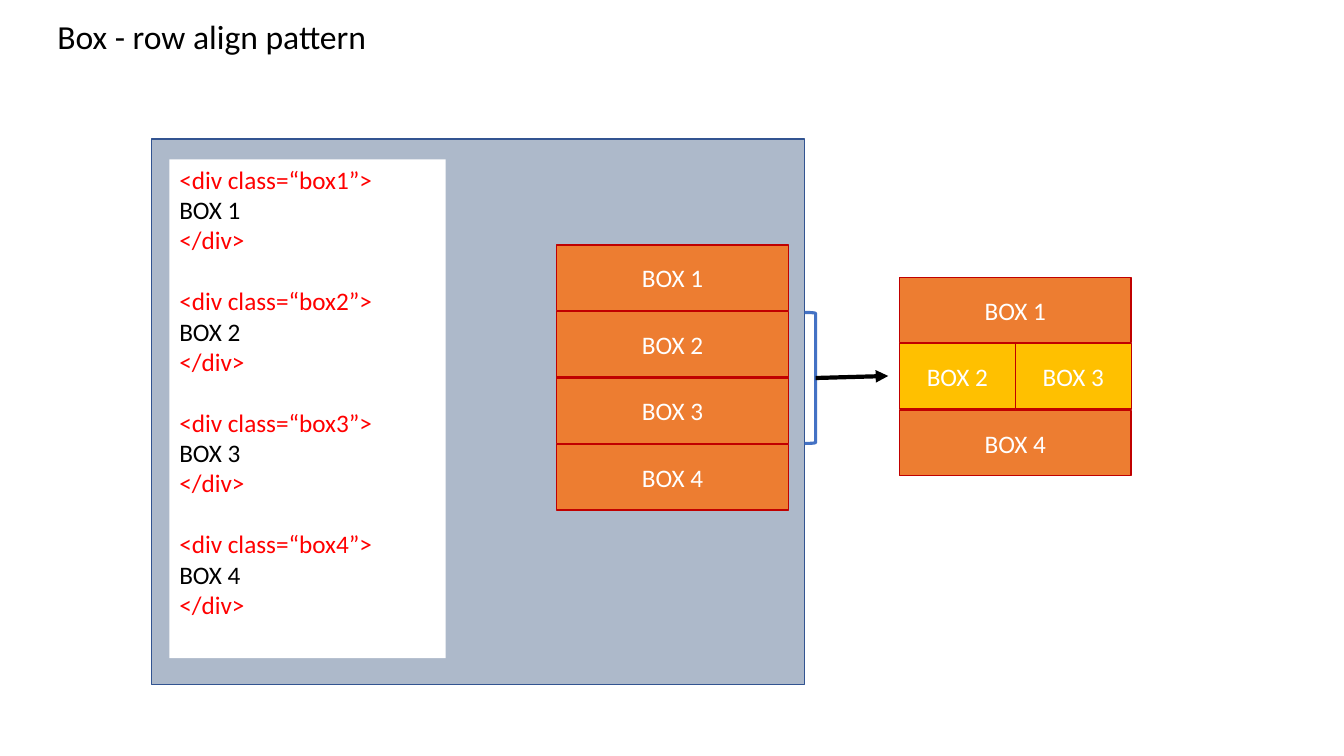
"""Build the slide that explains the box row align pattern."""
from lxml.etree import SubElement
from pptx import Presentation
from pptx.dml.color import RGBColor
from pptx.enum.shapes import MSO_CONNECTOR, MSO_SHAPE
from pptx.enum.text import MSO_ANCHOR, MSO_AUTO_SIZE, PP_ALIGN
from pptx.oxml.ns import qn
from pptx.util import Inches, Pt

TITLE = "Box - row align pattern"
BOXES = ["BOX 1", "BOX 2", "BOX 3", "BOX 4"]
CODE = [(f"<div class=“box{number}”>", name, "</div>")
        for number, name in enumerate(BOXES, 1)]
ALIGNED_ROWS = [BOXES[:1], BOXES[1:3], BOXES[3:]]

WIDTH, HEIGHT = 13.33, 7.5
PANEL = (1.5, 1.38, 6.48, 5.41)
CODE_AREA = (1.68, 1.58, 2.74, 4.95)
ROW_WIDTH, ROW_HEIGHT, ROW_STEP = 2.3, 0.65, 0.66
STACK_START, ALIGNED_START = (5.52, 2.43), (8.92, 2.75)
BRACKET = (7.98, 3.1, 0.11, 1.3)
ARROW = (8.09, 3.75, 8.81, 3.73)
ORANGE, YELLOW, DARK_RED = "ED7D31", "FFC000", "C00000"
RED, BLACK, WHITE = "FF0000", "000000", "FFFFFF"


def color(value):
    return RGBColor.from_string(value)


def apply(target, values):
    for name, value in values.items():
        setattr(target, name, value)


def add_text(para, text, ink, size=18):
    span = para.add_run()
    span.text = text
    apply(span.font, {"name": "Calibri", "size": Pt(size), "bold": False})
    span.font.color.rgb = color(ink)


def add_box(page, area, fill=None, line=None, weight=1, kind=MSO_SHAPE.RECTANGLE):
    box = page.shapes.add_shape(kind, *map(Inches, area))
    box.shadow.inherit = False
    if fill:
        box.fill.solid()
        box.fill.fore_color.rgb = color(fill)
    else:
        box.fill.background()
    if line:
        box.line.color.rgb = color(line)
        box.line.width = Pt(weight)
    else:
        box.line.fill.background()
    return box


def add_rows(page, start, rows):
    left, top = start
    for index, names in enumerate(rows):
        width = ROW_WIDTH / len(names)
        fill = ORANGE if len(names) == 1 else YELLOW
        for column, name in enumerate(names):
            area = (left + column * width, top + index * ROW_STEP, width, ROW_HEIGHT)
            frame = add_box(page, area, fill, DARK_RED).text_frame
            frame.vertical_anchor = MSO_ANCHOR.MIDDLE
            frame.paragraphs[0].alignment = PP_ALIGN.CENTER
            add_text(frame.paragraphs[0], name, WHITE)


def add_title(page):
    title = page.shapes.title
    apply(title, dict(zip(("left", "top", "width", "height"),
                          map(Inches, (0.45, 0.11, 3.3, 0.5)))))
    apply(title.text_frame, {"word_wrap": False, "auto_size": MSO_AUTO_SIZE.NONE,
                             "vertical_anchor": MSO_ANCHOR.TOP})
    para = title.text_frame.paragraphs[0]
    para.alignment = PP_ALIGN.CENTER
    add_text(para, TITLE, BLACK, 24)


def add_code(page):
    frame = add_box(page, CODE_AREA, WHITE).text_frame
    apply(frame, {"word_wrap": True, "vertical_anchor": MSO_ANCHOR.TOP})
    for block, lines in enumerate(CODE):
        for row, text in enumerate(lines):
            first = block == row == 0
            para = frame.paragraphs[0] if first else frame.add_paragraph()
            gap = 22 if block and row == 0 else 0
            apply(para, {"alignment": PP_ALIGN.LEFT, "space_before": Pt(gap)})
            add_text(para, text, BLACK if row == 1 else RED)


def add_arrow(page):
    arrow = page.shapes.add_connector(MSO_CONNECTOR.STRAIGHT, *map(Inches, ARROW))
    arrow.line.color.rgb = color(BLACK)
    arrow.line.width = Pt(3)
    SubElement(arrow.line._get_or_add_ln(), qn("a:tailEnd"), type="triangle")
    SubElement(arrow._element.spPr, qn("a:effectLst"))


def main():
    deck = Presentation()
    apply(deck, {"slide_width": Inches(WIDTH), "slide_height": Inches(HEIGHT)})
    page = deck.slides.add_slide(deck.slide_layouts[5])
    add_title(page)
    add_box(page, PANEL, "ADB9CA", "325491")
    add_rows(page, STACK_START, [[name] for name in BOXES])
    add_rows(page, ALIGNED_START, ALIGNED_ROWS)
    add_box(page, BRACKET, None, "4472C4", 2.25, MSO_SHAPE.RIGHT_BRACKET)
    add_arrow(page)
    add_code(page)
    deck.save("out.pptx")


if __name__ == "__main__":
    main()
